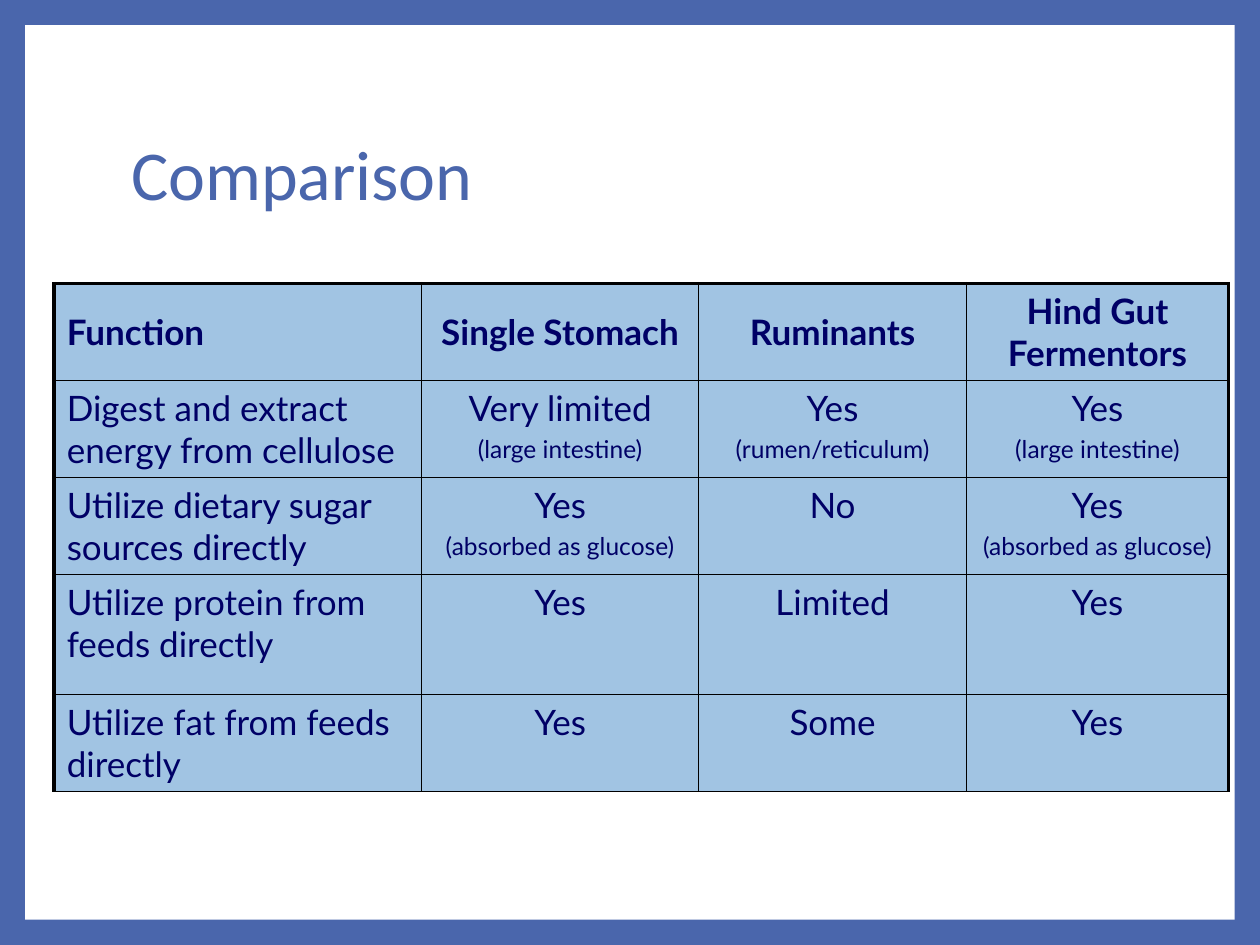
from lxml.etree import SubElement
from pptx import Presentation
from pptx.dml.color import RGBColor
from pptx.enum.shapes import MSO_SHAPE
from pptx.enum.text import MSO_ANCHOR, PP_ALIGN
from pptx.oxml.ns import qn
from pptx.util import Inches, Pt

BLUE, NAVY, PALE, WHITE, BLACK = "4A66AC", "000066", "A1C4E3", "FFFFFF", "000000"
COL_WIDTHS = [2.92, 2.2, 2.13, 2.08]
ROW_HEIGHTS = [0.77, 0.77, 0.77, 0.95, 0.77]
ROWS = [
    ["Function", "Single Stomach", "Ruminants", "Hind Gut Fermentors"],
    ["Digest and extract energy from cellulose", "Very limited\n(large intestine)",
     "Yes\n(rumen/reticulum)", "Yes\n(large intestine)"],
    ["Utilize dietary sugar sources directly", "Yes\n(absorbed as glucose)",
     "No", "Yes\n(absorbed as glucose)"],
    ["Utilize protein from feeds directly", "Yes", "Limited", "Yes"],
    ["Utilize fat from feeds directly", "Yes", "Some", "Yes"],
]


def paint(fill, color):
    """Give a fill one solid colour."""
    fill.solid()
    fill.fore_color.rgb = RGBColor.from_string(color)


def set_font(font, name, size, color, bold=False):
    """Set the face, size, colour and weight of a font."""
    font.name, font.size, font.bold = name, Pt(size), bold
    font.color.rgb = RGBColor.from_string(color)


def add_panel(slide, x, y, w, h):
    """Place the white panel behind everything else."""
    sp = slide.shapes.add_shape(
        MSO_SHAPE.RECTANGLE, Inches(x), Inches(y), Inches(w), Inches(h))
    sp.shadow.inherit = False
    paint(sp.fill, WHITE)
    sp.line.fill.background()
    slide.shapes.element.insert(2, sp.element)


def set_title(slide, text, x, y, w, h):
    """Move, fill and format the title placeholder."""
    title = slide.shapes.title
    title.left, title.top = Inches(x), Inches(y)
    title.width, title.height = Inches(w), Inches(h)
    tf = title.text_frame
    tf.text = text
    tf.vertical_anchor = MSO_ANCHOR.MIDDLE
    p = tf.paragraphs[0]
    p.alignment, p.line_spacing = PP_ALIGN.LEFT, 0.9
    set_font(p.font, "Calibri", 40, BLUE)


def set_borders(cell, widths):
    """Draw the left, right, top and bottom borders of a cell."""
    tcPr = cell._tc.get_or_add_tcPr()
    for i, (side, width) in enumerate(zip("LRTB", widths)):
        ln = SubElement(tcPr, qn(f"a:ln{side}"), w=str(Pt(width)))
        fill = SubElement(ln, qn("a:solidFill"))
        SubElement(fill, qn("a:srgbClr"), val=BLACK)
        tcPr.insert(i, ln)


def fill_cell(cell, text, is_header, is_label):
    """Write a cell, with any second line as a smaller remark."""
    paint(cell.fill, PALE)
    cell.margin_left = cell.margin_right = Inches(0.1 if is_label else 0)
    cell.margin_top = cell.margin_bottom = Inches(0.05)
    cell.vertical_anchor = MSO_ANCHOR.MIDDLE if is_header else MSO_ANCHOR.TOP
    cell.text = text
    for i, p in enumerate(cell.text_frame.paragraphs):
        p.alignment = PP_ALIGN.LEFT if is_label else PP_ALIGN.CENTER
        if i:
            p.space_before = Pt(3)
        set_font(p.font, "Lato", 14 if i else 20, NAVY, is_header)


def add_comparison(slide, x, y, w, h):
    """Place the comparison table, its columns and rows scaled to the box."""
    table = slide.shapes.add_table(
        len(ROWS), len(COL_WIDTHS), Inches(x), Inches(y), Inches(w), Inches(h)).table
    for column, width in zip(table.columns, COL_WIDTHS):
        column.width = Inches(w * width / sum(COL_WIDTHS))
    for row, height in zip(table.rows, ROW_HEIGHTS):
        row.height = Inches(h * height / sum(ROW_HEIGHTS))
    last = len(COL_WIDTHS) - 1
    for r, texts in enumerate(ROWS):
        for c, text in enumerate(texts):
            cell = table.cell(r, c)
            fill_cell(cell, text, r == 0, c == 0)
            outer = (c == 0, c == last, r == 0, False)
            set_borders(cell, [2.25 if edge else 1 for edge in outer])


def main():
    """Build and save the slide."""
    prs = Presentation()
    prs.slide_width, prs.slide_height = Inches(10), Inches(7.5)
    slide = prs.slides.add_slide(prs.slide_layouts[5])
    paint(slide.background.fill, BLUE)
    add_panel(slide, 0.2, 0.2, 9.6, 7.1)
    set_title(slide, "Comparison", 0.94, 0.67, 8.1, 1.48)
    add_comparison(slide, 0.43, 2.25, 9.32, 4.03)
    prs.save("out.pptx")


if __name__ == "__main__":
    main()
